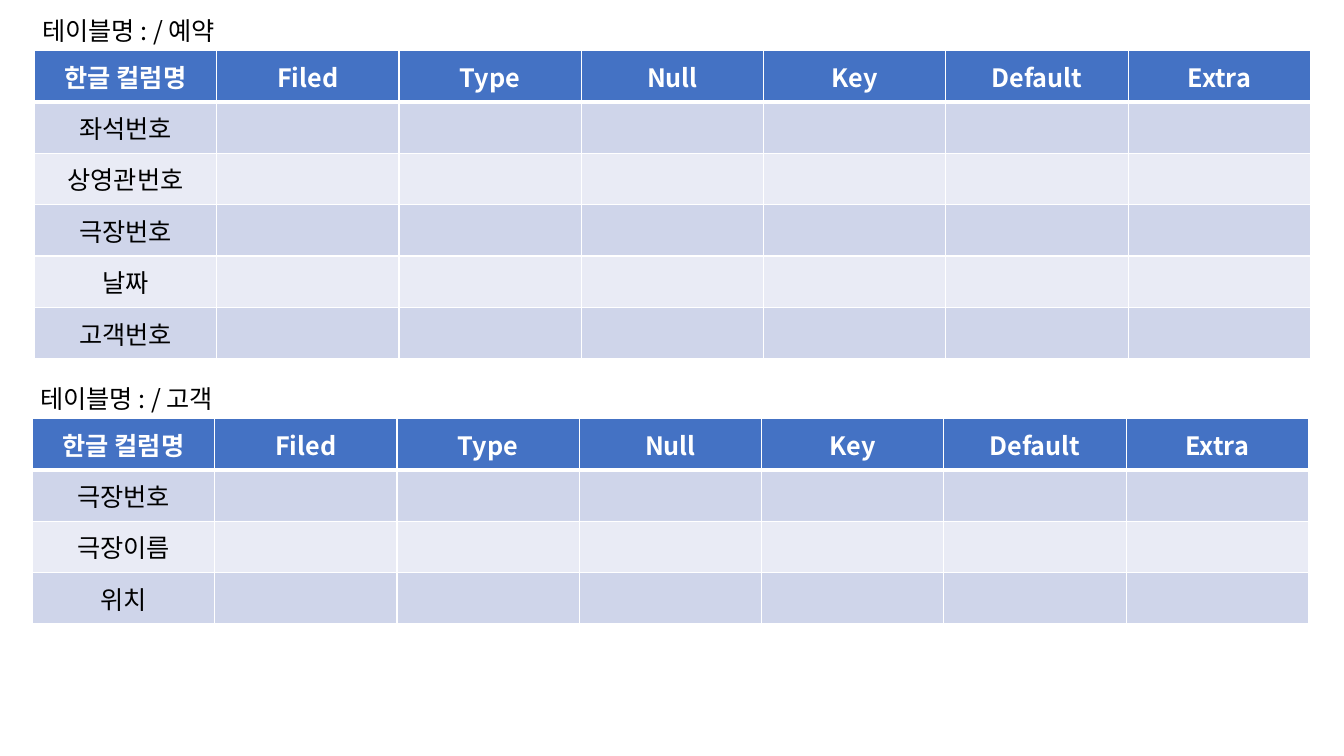
from lxml import etree
from pptx import Presentation
from pptx.dml.color import RGBColor
from pptx.enum.text import MSO_ANCHOR, PP_ALIGN
from pptx.oxml.ns import qn
from pptx.util import Inches, Pt

CENTER = PP_ALIGN.CENTER
MIDDLE = MSO_ANCHOR.MIDDLE
FONT = "Noto Sans CJK KR"
WHITE, BLACK, BLUE = "FFFFFF", "000000", "4472C4"
BANDS = ("CFD5EA", "E9EBF5")

HEADERS = ["한글 컬럼명", "Filed", "Type", "Null", "Key", "Default", "Extra"]
TABLES = [
    {"label": "테이블명 : / 예약", "left": 0.34, "top": 0.5,
     "fields": ["좌석번호", "상영관번호", "극장번호", "날짜", "고객번호"]},
    {"label": "테이블명 : / 고객", "left": 0.32, "top": 4.15,
     "fields": ["극장번호", "극장이름", "위치"]},
]
TABLE_W, ROW_H = 12.66, 0.51
LABEL_W, LABEL_H, LABEL_SHIFT = 12.69, 0.4, 0.02


def rgb(color):
    return RGBColor.from_string(color)


def add_run(p, text, color, bold=False):
    r = p.add_run()
    r.text = text
    r.font.size = Pt(18)
    r.font.bold = bold
    r.font.name = FONT
    r.font.color.rgb = rgb(color)
    etree.SubElement(r.font._element, qn("a:ea"), typeface=FONT)


def set_borders(cell, widths):
    tcPr = cell._tc.get_or_add_tcPr()
    for i, (side, width) in enumerate(widths.items()):
        ln = etree.Element(qn(f"a:ln{side}"), w=str(Pt(width)))
        fill = etree.SubElement(ln, qn("a:solidFill"))
        etree.SubElement(fill, qn("a:srgbClr"), val=WHITE)
        tcPr.insert(i, ln)


def add_table(s, left, top, fields):
    rows = [HEADERS] + [[field] + [""] * (len(HEADERS) - 1) for field in fields]
    table = s.shapes.add_table(len(rows), len(HEADERS), Inches(left), Inches(top),
                               Inches(TABLE_W), Inches(ROW_H * len(rows))).table
    for i, row in enumerate(rows):
        header = i == 0
        for j, text in enumerate(row):
            cell = table.cell(i, j)
            cell.vertical_anchor = MIDDLE
            cell.fill.solid()
            cell.fill.fore_color.rgb = rgb(BLUE if header else BANDS[(i - 1) % 2])
            set_borders(cell, {"L": 1, "R": 1, "T": 3 if i == 1 else 1,
                               "B": 3 if header else 1})
            p = cell.text_frame.paragraphs[0]
            p.alignment = CENTER
            if text:
                add_run(p, text, WHITE if header else BLACK, header)


def add_label(s, left, top, text):
    tf = s.shapes.add_textbox(Inches(left), Inches(top),
                              Inches(LABEL_W), Inches(LABEL_H)).text_frame
    tf.word_wrap = True
    add_run(tf.paragraphs[0], text, BLACK)


def main():
    prs = Presentation()
    prs.slide_width, prs.slide_height = Inches(13.33), Inches(7.5)
    s = prs.slides.add_slide(prs.slide_layouts[6])
    for t in TABLES:
        add_table(s, t["left"], t["top"], t["fields"])
        add_label(s, t["left"] - LABEL_SHIFT, t["top"] - LABEL_H, t["label"])
    prs.save("out.pptx")


if __name__ == "__main__":
    main()
